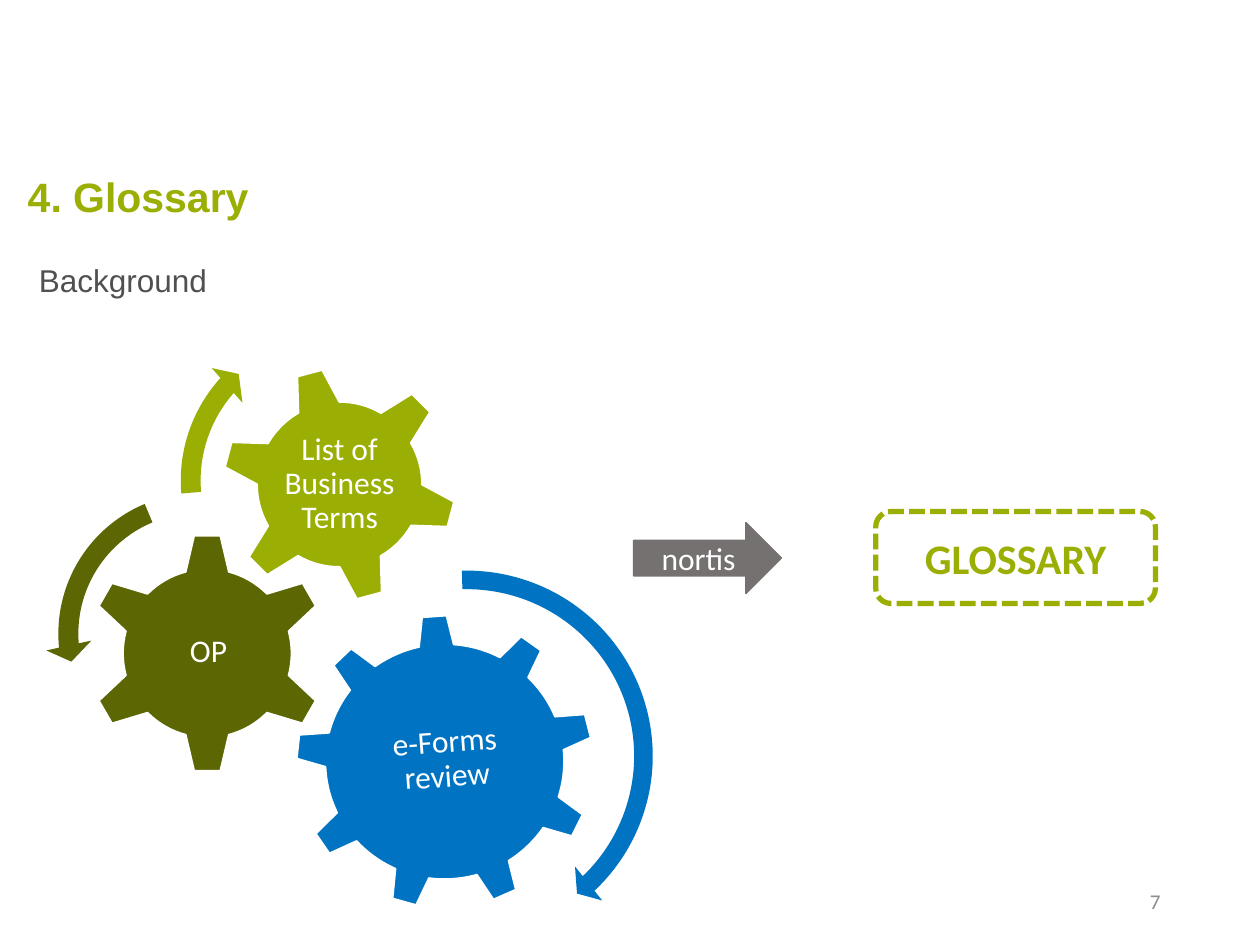
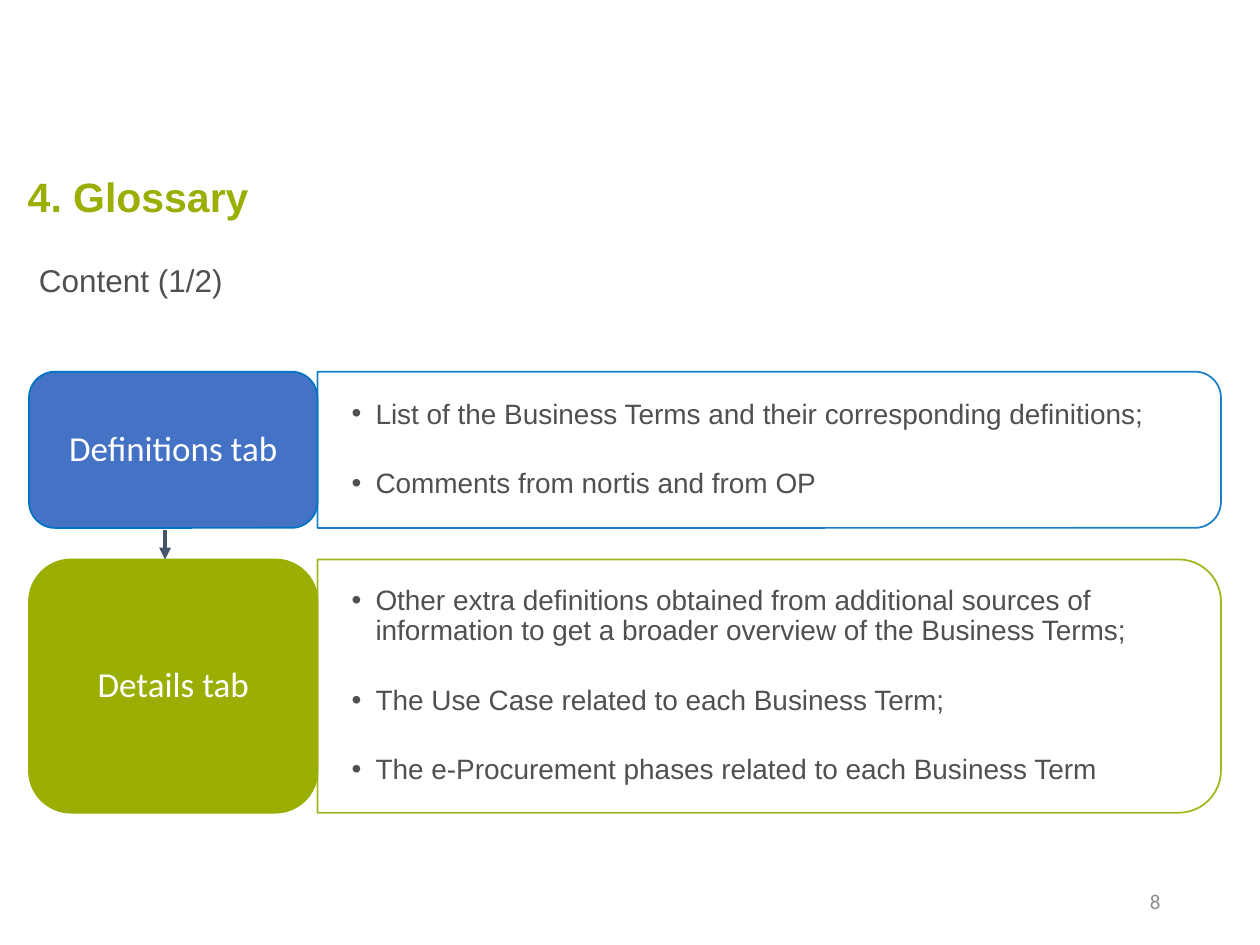
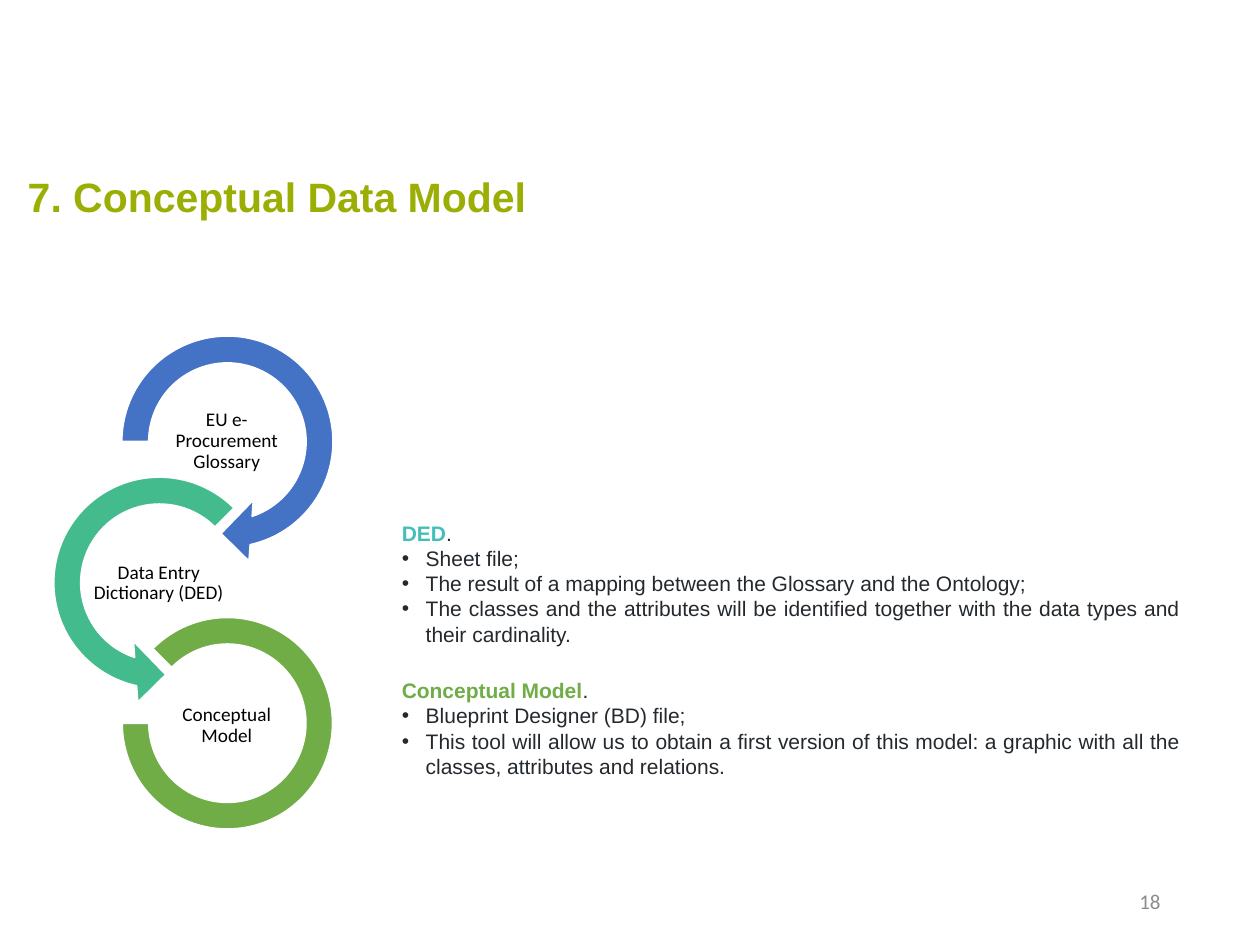
from lxml import etree
from pptx import Presentation
from pptx.dml.color import RGBColor
from pptx.enum.dml import MSO_LINE
from pptx.enum.shapes import MSO_CONNECTOR, MSO_SHAPE
from pptx.enum.text import MSO_ANCHOR, MSO_AUTO_SIZE, PP_ALIGN
from pptx.oxml.ns import qn
from pptx.util import Inches, Pt

LEFT, CENTER, RIGHT, JUSTIFY = PP_ALIGN.LEFT, PP_ALIGN.CENTER, PP_ALIGN.RIGHT, PP_ALIGN.JUSTIFY
TOP, MIDDLE = MSO_ANCHOR.TOP, MSO_ANCHOR.MIDDLE
GEAR_6, GEAR_9 = MSO_SHAPE.GEAR_6, MSO_SHAPE.GEAR_9
CIRCULAR, LEFT_CIRCULAR = MSO_SHAPE.CIRCULAR_ARROW, MSO_SHAPE.LEFT_CIRCULAR_ARROW
BLOCK_ARC, RIGHT_ARROW = MSO_SHAPE.BLOCK_ARC, MSO_SHAPE.RIGHT_ARROW
ROUNDED, ROUND_SIDE = MSO_SHAPE.ROUNDED_RECTANGLE, MSO_SHAPE.ROUND_2_SAME_RECTANGLE
STRAIGHT, DASH = MSO_CONNECTOR.STRAIGHT, MSO_LINE.SQUARE_DOT

LIME, OLIVE, BLUE, INDIGO = "9AAE04", "5C6602", "0073C2", "4472C4"
MINT, TEAL, GREEN = "43BB8D", "43BEB9", "70AD47"
WHITE, BLACK, INK, TEXT = "FFFFFF", "000000", "24292E", "505050"
PAGE_GRAY, ARROW_GRAY, SLATE = "8C8C8C", "767171", "44546A"
DEFAULT_INSETS = (0.1, 0.05, 0.1, 0.05)


def rgb(color):
    return RGBColor.from_string(color)


class Deck:
    heading_font = "Arial"
    diagram_font = "Calibri"

    def __init__(self):
        self.prs = Presentation()
        self.prs.slide_width, self.prs.slide_height = Inches(10), Inches(7.5)
        self.s = None

    def slide(self, title, page, subtitle=None):
        self.s = self.prs.slides.add_slide(self.prs.slide_layouts[5])
        sp = self.s.shapes.title
        sp.left, sp.top, sp.width, sp.height = map(Inches, (0.12, 1.31, 9.06, 0.7))
        self.frame(sp.text_frame, TOP)
        self.para(sp.text_frame, [(title, LIME, True)], 23.4, self.heading_font)
        if subtitle:
            self.text([[(subtitle, TEXT, False)]], (0.21, 2.02, 9.51, 5.33), 18)
        self.text([[(page, PAGE_GRAY, False)]], (7.06, 6.95, 2.25, 0.4), 12,
                  self.diagram_font, RIGHT, MIDDLE)

    def frame(self, tf, anchor, insets=DEFAULT_INSETS):
        tf.word_wrap = True
        tf.auto_size = MSO_AUTO_SIZE.NONE
        tf.vertical_anchor = anchor
        tf.margin_left, tf.margin_top, tf.margin_right, tf.margin_bottom = map(Inches, insets)

    def para(self, tf, runs, size, font, align=LEFT, spacing=1.0, before=0, bullet=False):
        p = tf.paragraphs[0]
        if p.runs:
            p = tf.add_paragraph()
        p.alignment, p.line_spacing, p.space_before = align, spacing, Pt(before)
        for text, color, bold in runs:
            r = p.add_run()
            r.text = text
            r.font.name, r.font.size, r.font.bold = font, Pt(size), bold
            r.font.color.rgb = rgb(color)
        if bullet:
            pPr = p._p.get_or_add_pPr()
            pPr.set("marL", str(Inches(0.19)))
            pPr.set("indent", str(-Inches(0.19)))
            etree.SubElement(pPr, qn("a:buFont")).set("typeface", "Arial")
            etree.SubElement(pPr, qn("a:buChar")).set("char", "•")

    def text(self, paragraphs, box, size, font=heading_font, align=LEFT, anchor=TOP,
             insets=DEFAULT_INSETS, spacing=1.0, gap=0, bullets_from=None, rotation=0):
        sp = self.s.shapes.add_textbox(*map(Inches, box))
        sp.rotation = rotation
        self.frame(sp.text_frame, anchor, insets)
        for i, runs in enumerate(paragraphs):
            bullet = bullets_from is not None and i >= bullets_from
            self.para(sp.text_frame, runs, size, font, align, spacing, gap if i else 0, bullet)

    def label(self, text, box, size, color, inset, rotation=0):
        self.text([[(text, color, False)]], box, size, self.diagram_font, CENTER, MIDDLE,
                  (inset,) * 4, 0.9, rotation=rotation)

    def shape(self, kind, box, fill=None, line=None, width=1, adjustments=(), rotation=0):
        sp = self.s.shapes.add_shape(kind, *map(Inches, box))
        sp.shadow.inherit = False
        sp.rotation = rotation
        for i, value in enumerate(adjustments):
            sp.adjustments[i] = value
        if fill:
            sp.fill.solid()
            sp.fill.fore_color.rgb = rgb(fill)
        else:
            sp.fill.background()
        if line:
            sp.line.color.rgb = rgb(line)
            sp.line.width = Pt(width)
        else:
            sp.line.fill.background()
        return sp

    def caption(self, sp, text, size, color=WHITE, bold=False, spacing=1.0):
        self.frame(sp.text_frame, MIDDLE)
        self.para(sp.text_frame, [(text, color, bold)], size, self.diagram_font, CENTER, spacing)

    def panel(self, items, top, height, color):
        left, width = 2.52, 7.17
        box = (left + (width - height) / 2, top + (height - width) / 2, height, width)
        sp = self.shape(ROUND_SIDE, box, line=color, rotation=90)
        stroke = sp.line.fill._xPr.find(qn("a:solidFill"))[0]
        etree.SubElement(stroke, qn("a:alpha")).set("val", "90000")
        self.text([[(item, TEXT, False)] for item in items], (left, top, 7.09, height), 16,
                  anchor=MIDDLE, insets=(0.27, 0.14, 0.27, 0.14), spacing=0.9,
                  gap=22.5, bullets_from=0)

    def arrow(self, start, end, color, width):
        c = self.s.shapes.add_connector(STRAIGHT, *map(Inches, start + end))
        c.line.color.rgb = rgb(color)
        c.line.width = Pt(width)
        etree.SubElement(c.line._get_or_add_ln(), qn("a:tailEnd")).set("type", "triangle")
        etree.SubElement(c._element.spPr, qn("a:effectLst"))


def background_slide(deck):
    deck.slide("4. Glossary", "7", "Background")
    gears = [
        (GEAR_9, (2.35, 4.88, 2.36, 2.33), 355.9, BLUE,
         "e-Forms review", (2.83, 5.43, 1.42, 1.2), 355.9),
        (GEAR_6, (0.69, 4.23, 1.91, 1.91), 0, OLIVE, "OP", (1.18, 4.71, 0.95, 0.94), 0),
        (GEAR_6, (1.76, 2.91, 1.87, 1.87), 345, LIME,
         "List of Business Terms", (2.17, 3.32, 1.05, 1.05), 0),
    ]
    for kind, box, rotation, color, name, name_box, name_rotation in gears:
        deck.shape(kind, box, color, WHITE, rotation=rotation)
        deck.label(name, name_box, 18, WHITE, 0.03, name_rotation)
    turns = [
        (CIRCULAR, (2.13, 4.43, 3.15, 3.14), BLUE, (0.047, 2.99, 25.201, 158.527, 0.055), 4.3),
        (LEFT_CIRCULAR, (0.36, 3.81, 2.44, 2.44), OLIVE,
         (0.065, 4.3, 104.891, 148.378, 0.075), 0),
        (CIRCULAR, (1.33, 2.5, 2.63, 2.63), LIME, (0.06, 3.941, 133.138, 105.082, 0.07), 0),
    ]
    for kind, box, color, adjustments, rotation in turns:
        deck.shape(kind, box, color, adjustments=adjustments, rotation=rotation)
    supplier = deck.shape(RIGHT_ARROW, (5.03, 4.15, 1.17, 0.56), ARROW_GRAY, ARROW_GRAY)
    deck.caption(supplier, "nortis", 18)
    glossary = deck.shape(ROUNDED, (6.95, 4.06, 2.22, 0.73), line=LIME, width=3)
    glossary.line.dash_style = DASH
    deck.caption(glossary, "GLOSSARY", 24, LIME, True)


def content_slide(deck):
    deck.slide("4. Glossary", "8", "Content (1/2)")
    tabs = [
        ("Definitions tab", 2.95, 1.24, INDIGO, BLUE,
         ["List of the Business Terms and their corresponding definitions;",
          "Comments from nortis and from OP"]),
        ("Details tab", 4.44, 2.01, LIME, LIME,
         ["Other extra definitions obtained from additional sources of information "
          "to get a broader overview of the Business Terms;",
          "The Use Case related to each Business Term;",
          "The e-Procurement phases related to each Business Term"]),
    ]
    for name, top, height, fill, line, items in tabs:
        deck.panel(items, top, height, line)
        tab = deck.shape(ROUNDED, (0.23, top, 2.29, height), fill, line)
        deck.caption(tab, name, 20, spacing=0.9)
    deck.arrow((1.31, 4.21), (1.31, 4.44), SLATE, 2.25)


def model_slide(deck):
    deck.slide("7. Conceptual Data Model", "18")
    steps = [
        (CIRCULAR, (0.83, 2.53, 1.95, 1.95), INDIGO, (0.11, 11.423, 45, 108, 0.125),
         "EU e-Procurement Glossary", (1.26, 3.23)),
        (LEFT_CIRCULAR, (0.29, 3.65, 1.95, 1.95), MINT, (0.11, 11.423, 63, 189, 0.125),
         "Data Entry Dictionary (DED)", (0.72, 4.36)),
        (BLOCK_ARC, (0.97, 4.9, 1.67, 1.68), GREEN, (135, 108, 0.127),
         "Conceptual Model", (1.26, 5.49)),
    ]
    for kind, box, color, adjustments, name, corner in steps:
        deck.shape(kind, box, color, WHITE, adjustments=adjustments)
        deck.label(name, corner + (1.08, 0.54), 11, BLACK, 0.01)
    notes = [
        ("DED", TEAL, 4.08, 1.11,
         ["Sheet file;",
          "The result of a mapping between the Glossary and the Ontology;",
          "The classes and the attributes will be identified together with the data "
          "types and their cardinality."]),
        ("Conceptual Model", GREEN, 5.33, 0.91,
         ["Blueprint Designer (BD) file;",
          "This tool will allow us to obtain a first version of this model: a graphic "
          "with all the classes, attributes and relations."]),
    ]
    for name, color, top, height, items in notes:
        heading = [(name, color, True), (".", INK, False)]
        deck.text([heading] + [[(item, INK, False)] for item in items],
                  (3.09, top, 6.38, height), 12, align=JUSTIFY, bullets_from=1)


def main():
    deck = Deck()
    background_slide(deck)
    content_slide(deck)
    model_slide(deck)
    deck.prs.save("out.pptx")


if __name__ == "__main__":
    main()
